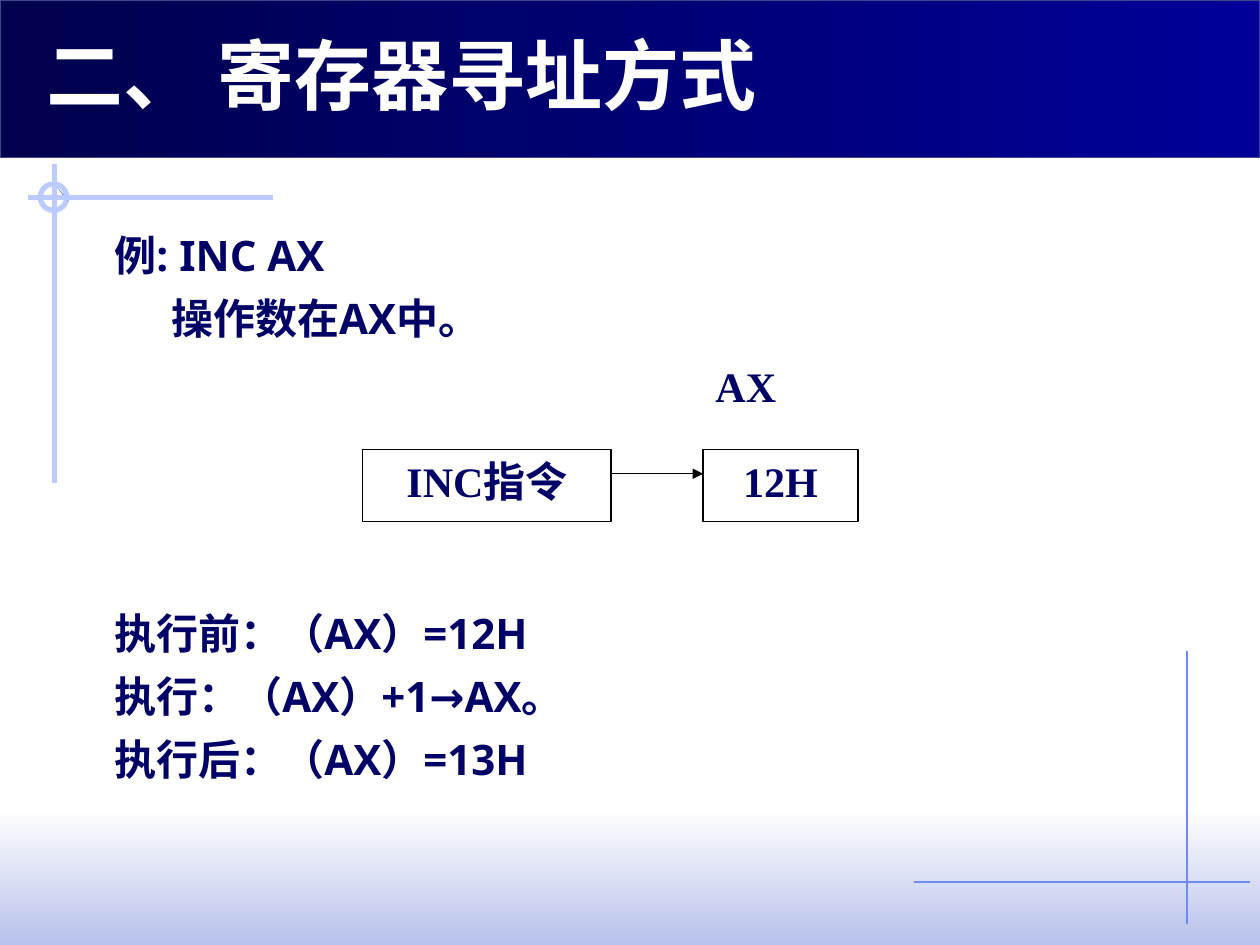
from lxml import etree
from pptx import Presentation
from pptx.dml.color import RGBColor
from pptx.enum import shapes, text
from pptx.oxml.ns import qn
from pptx.util import Inches, Pt

NAVY, WHITE, BLACK = "000066", "FFFFFF", "000000"
PALE, BLUE = "BBCBFD", "6F89F7"
CJK = "Noto Sans CJK JP"


def rgb(value):
    return RGBColor.from_string(value)


def write(paragraph, words, font, size=24, color=NAVY):
    run = paragraph.add_run()
    run.text = words
    for key, value in dict(name=font, size=Pt(size), bold=True).items():
        setattr(run.font, key, value)
    run.font.color.rgb = rgb(color)
    latin = run.font._element.find(qn("a:latin"))
    east_asian = etree.Element(qn("a:ea"), typeface=CJK)
    latin.addnext(east_asian)


prs = Presentation()
prs.slide_width, prs.slide_height = Inches(10), Inches(7.5)
slide = prs.slides.add_slide(prs.slide_layouts[6])

for top, height, angle, start, end, edge in [
    (6.42, 1.08, 270, WHITE, "B7C1EB", None),
    (0, 1.25, 0, "00004D", "000099", "40458C"),
]:
    band = slide.shapes.add_shape(
        shapes.MSO_SHAPE.RECTANGLE, 0, Inches(top), Inches(10), Inches(height))
    band.shadow.inherit = False
    band.fill.gradient()
    band.fill.gradient_angle = angle
    for stop, color in zip(band.fill.gradient_stops, (start, end)):
        stop.color.rgb = rgb(color)
    if edge:
        band.line.color.rgb = rgb(edge)
        band.line.width = Pt(0.75)
    else:
        band.line.fill.background()

ring = slide.shapes.add_shape(
    shapes.MSO_SHAPE.OVAL, Inches(0.32), Inches(1.46), Inches(0.21), Inches(0.21))
ring.shadow.inherit = False
ring.fill.background()
ring.line.color.rgb = rgb(PALE)
ring.line.width = Pt(3)

outline = slide.shapes.build_freeform(Inches(0.43), Inches(1.46), scale=1.0)
outline.add_line_segments(
    [(Inches(0.54), Inches(1.6)), (Inches(0.53), Inches(1.57))], close=True)
wedge = outline.convert_to_shape()
wedge.shadow.inherit = False
wedge.fill.solid()
wedge.fill.fore_color.rgb = rgb(BLUE)
wedge.line.fill.background()

title = slide.shapes.add_textbox(Inches(0.27), Inches(0.28), Inches(7.41), Inches(0.72))
title.text_frame.word_wrap = True
title.text_frame.vertical_anchor = text.MSO_ANCHOR.BOTTOM
write(title.text_frame.paragraphs[0], "二、 寄存器寻址方式", CJK, 44, WHITE)

example = slide.shapes.add_textbox(Inches(0.81), Inches(1.67), Inches(8.33), Inches(4.66))
example.text_frame.word_wrap = True
for index, (words, before, indent) in enumerate([
    ("例: INC AX", 0, 0),
    ("操作数在AX中。", 0, 0.45),
    ("执行前：（AX）=12H", 144, 0),
    ("执行：（AX）+1→AX。", 0, 0),
    ("执行后：（AX）=13H", 0, 0),
]):
    frame = example.text_frame
    step = frame.add_paragraph() if index else frame.paragraphs[0]
    step.line_spacing = Pt(36)
    step.space_before = Pt(before)
    step._p.get_or_add_pPr().set("marL", str(Inches(indent)))
    write(step, words, "Noto Sans")

for words, left, top, width, height, align, edge in [
    ("AX", 5.58, 2.81, 1.23, 0.75, text.PP_ALIGN.JUSTIFY, None),
    ("INC指令", 2.88, 3.57, 1.97, 0.57, text.PP_ALIGN.CENTER, BLACK),
    ("12H", 5.58, 3.57, 1.23, 0.57, text.PP_ALIGN.CENTER, BLACK),
]:
    box = slide.shapes.add_shape(
        shapes.MSO_SHAPE.RECTANGLE,
        Inches(left), Inches(top), Inches(width), Inches(height))
    box.shadow.inherit = False
    box.fill.solid()
    box.fill.fore_color.rgb = rgb(WHITE)
    if edge:
        box.line.color.rgb = rgb(edge)
        box.line.width = Pt(0.75)
    else:
        box.line.fill.background()
    box.text_frame.word_wrap = True
    box.text_frame.vertical_anchor = text.MSO_ANCHOR.TOP
    label = box.text_frame.paragraphs[0]
    label.alignment = align
    write(label, words, "Times New Roman")

for x1, y1, x2, y2, color, weight, arrow in [
    (9.42, 5.17, 9.42, 7.33, BLUE, 0.75, False),
    (7.25, 7, 9.92, 7, BLUE, 0.75, False),
    (0.22, 1.57, 2.17, 1.57, PALE, 3, False),
    (0.43, 1.3, 0.43, 3.83, PALE, 3, False),
    (4.85, 3.76, 5.58, 3.76, BLACK, 0.75, True),
]:
    rule = slide.shapes.add_connector(
        shapes.MSO_CONNECTOR.STRAIGHT, Inches(x1), Inches(y1), Inches(x2), Inches(y2))
    rule.line.color.rgb = rgb(color)
    rule.line.width = Pt(weight)
    if arrow:
        etree.SubElement(rule.line._get_or_add_ln(), qn("a:tailEnd"), type="triangle")
    etree.SubElement(rule._element.spPr, qn("a:effectLst"))

prs.save("out.pptx")
